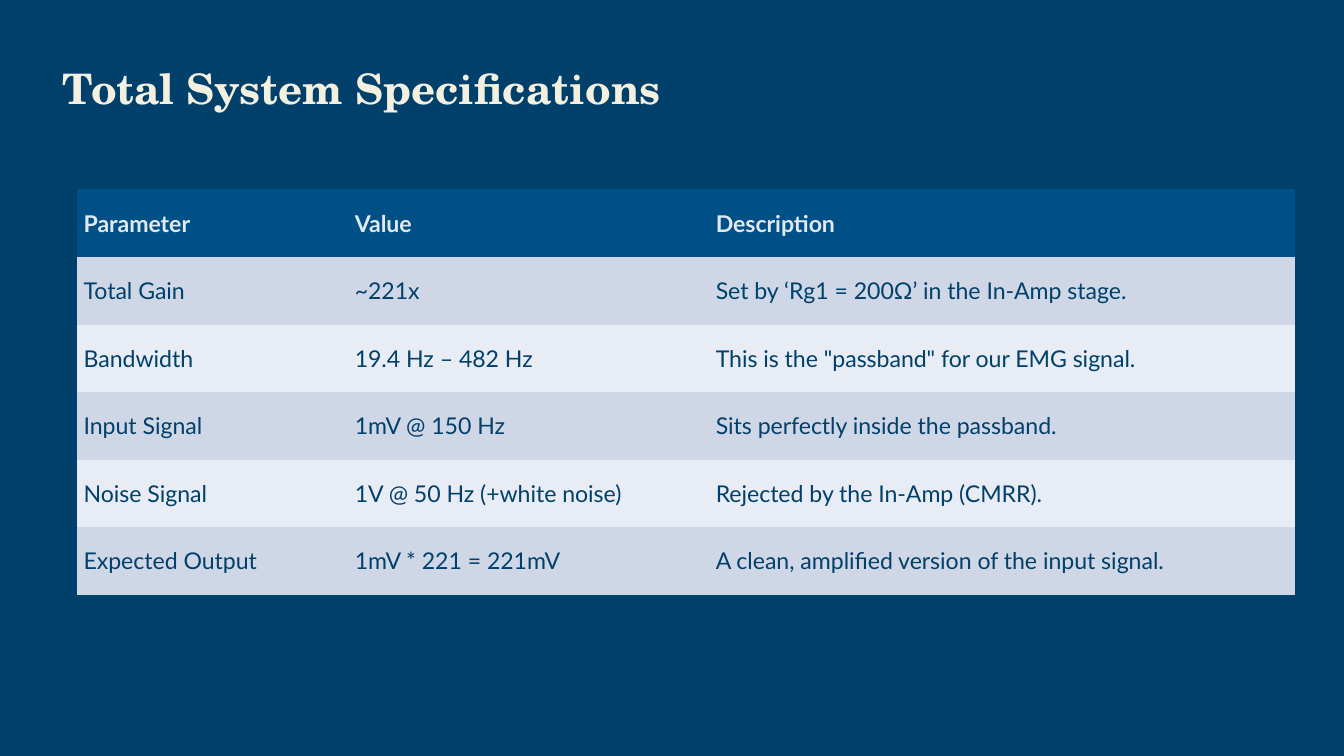
from dataclasses import dataclass

from pptx import Presentation
from pptx.dml.color import RGBColor
from pptx.enum.text import MSO_ANCHOR, PP_ALIGN
from pptx.util import Inches, Pt


@dataclass(frozen=True)
class Theme:
    background: str = "00406A"
    title: str = "F3F0DF"
    header_fill: str = "005088"
    header_text: str = "E2E8F0"
    body_text: str = "00406A"
    bands: tuple = ("CFD7E7", "E8ECF4")
    title_font: str = "TeX Gyre Schola"
    body_font: str = "Lato"
    title_size: float = 30
    body_size: float = 16.5


THEME = Theme()
NO_STYLE_NO_GRID = "{2D5ABB26-0587-4C30-8999-92F81FD0307C}"
TITLE_BOX = (0.62, 0.62, 12.69, 0.52)
TABLE_BOX = (0.76, 1.88, 12.08, 4.02)
COLUMN_WIDTHS = (2.69, 3.58, 5.81)
SPECIFICATIONS = (
    ("Parameter", "Value", "Description"),
    ("Total Gain", "~221x", "Set by ‘Rg1 = 200Ω’ in the In-Amp stage."),
    ("Bandwidth", "19.4 Hz – 482 Hz", 'This is the "passband" for our EMG signal.'),
    ("Input Signal", "1mV @ 150 Hz", "Sits perfectly inside the passband."),
    ("Noise Signal", "1V @ 50 Hz (+white noise)", "Rejected by the In-Amp (CMRR)."),
    ("Expected Output", "1mV * 221 = 221mV", "A clean, amplified version of the input signal."),
)


def fill_solid(fill, color):
    fill.solid()
    fill.fore_color.rgb = RGBColor.from_string(color)


def write_text(tf, text, *, font, size, color, bold=False):
    p = tf.paragraphs[0]
    p.alignment = PP_ALIGN.LEFT
    r = p.add_run()
    r.text = text
    r.font.name = font
    r.font.size = Pt(size)
    r.font.bold = bold
    r.font.color.rgb = RGBColor.from_string(color)


def place_title(s, box, text):
    sp = s.shapes.title
    sp.left, sp.top, sp.width, sp.height = map(Inches, box)
    tf = sp.text_frame
    tf.margin_left = tf.margin_right = tf.margin_top = tf.margin_bottom = 0
    tf.vertical_anchor = MSO_ANCHOR.TOP
    tf.word_wrap = True
    write_text(tf, text, font=THEME.title_font, size=THEME.title_size,
               color=THEME.title, bold=True)


def format_cell(cell, text, fill, color, bold):
    fill_solid(cell.fill, fill)
    cell.margin_left = cell.margin_right = Inches(0.07)
    cell.margin_top = cell.margin_bottom = Inches(0.03)
    cell.vertical_anchor = MSO_ANCHOR.MIDDLE
    write_text(cell.text_frame, text, font=THEME.body_font,
               size=THEME.body_size, color=color, bold=bold)


def add_banded_table(s, box, rows, widths):
    """Fill the box with a header row over alternating body rows."""
    frame = s.shapes.add_table(len(rows), len(widths), *map(Inches, box))
    table = frame.table
    for style in table._tbl.tblPr.xpath("a:tableStyleId"):
        style.text = NO_STYLE_NO_GRID
    for column, width in zip(table.columns, widths):
        column.width = Inches(width)
    for i, values in enumerate(rows):
        header = i == 0
        table.rows[i].height = Inches(box[3] / len(rows))
        fill = THEME.header_fill if header else THEME.bands[(i - 1) % 2]
        color = THEME.header_text if header else THEME.body_text
        for j, text in enumerate(values):
            format_cell(table.cell(i, j), text, fill, color, header)


def add_specification_slide(prs):
    s = prs.slides.add_slide(prs.slide_layouts[5])
    fill_solid(s.background.fill, THEME.background)
    place_title(s, TITLE_BOX, "Total System Specifications")
    add_banded_table(s, TABLE_BOX, SPECIFICATIONS, COLUMN_WIDTHS)


def main():
    prs = Presentation()
    prs.slide_width, prs.slide_height = Inches(13.33), Inches(7.5)
    add_specification_slide(prs)
    prs.save("out.pptx")


if __name__ == "__main__":
    main()
